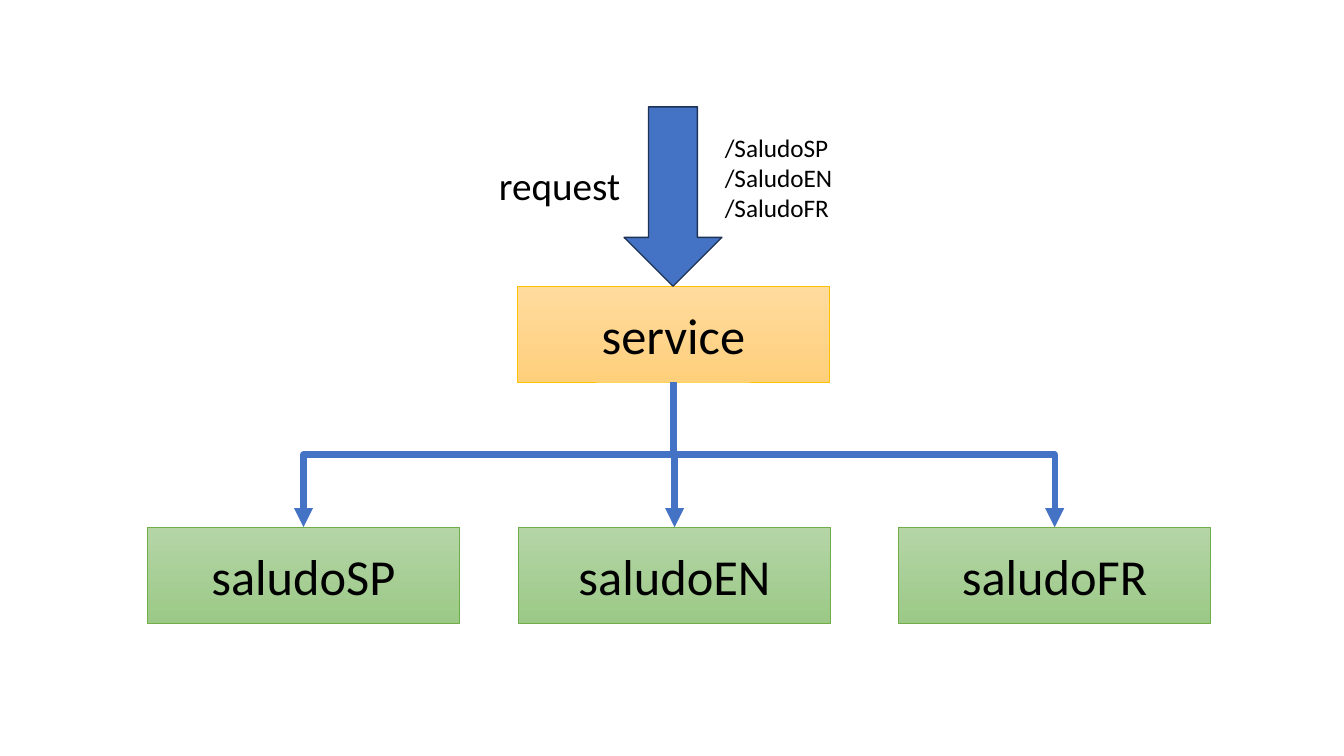
from lxml import etree
from pptx import Presentation
from pptx.dml.color import RGBColor
from pptx.enum.shapes import MSO_CONNECTOR, MSO_SHAPE
from pptx.enum.text import MSO_ANCHOR, MSO_AUTO_SIZE, PP_ALIGN
from pptx.oxml.ns import qn
from pptx.util import Inches, Pt

RECT, ARROW = MSO_SHAPE.RECTANGLE, MSO_SHAPE.DOWN_ARROW
ELBOW = MSO_CONNECTOR.ELBOW
MIDDLE, CENTER = MSO_ANCHOR.MIDDLE, PP_ALIGN.CENTER
FIT = MSO_AUTO_SIZE.SHAPE_TO_FIT_TEXT
TOP, BOTTOM = 0, 2  # connection sites of a rectangle

FONT = "Calibri"
BLUE, NAVY, BLACK = "4472C4", "1E3256", "000000"
GOLD = ("FFDB9E", "FFD07C", "FFC000")  # gradient start, end, outline
GREEN = ("B5D5A7", "9CC987", "70AD47")
BOX_W, BOX_H = 3.1, 0.95
SERVICE = ("service", 5.13, 2.84)
ROW_TOP = 5.23
TARGETS = [("saludoSP", 1.46), ("saludoEN", 5.14), ("saludoFR", 8.91)]
LABELS = [
    ("request", 28, False, (4.85, 1.55, 1.42, 0.57)),
    ("/SaludoSP\n/SaludoEN\n/SaludoFR", 18, True, (7.09, 1.26, 2.44, 1.01)),
]


def color(code):
    return RGBColor.from_string(code)


def write(frame, text, size):
    frame.text = text
    for para in frame.paragraphs:
        for run in para.runs:
            run.font.name = FONT
            run.font.size = Pt(size)
            run.font.color.rgb = color(BLACK)


def add_box(slide, text, left, top, tones):
    box = slide.shapes.add_shape(
        RECT, Inches(left), Inches(top), Inches(BOX_W), Inches(BOX_H))
    box.shadow.inherit = False
    box.fill.gradient()
    box.fill.gradient_angle = 270
    for stop, tone in zip(box.fill.gradient_stops, tones):
        stop.color.rgb = color(tone)
    box.line.color.rgb = color(tones[2])
    box.line.width = Pt(0.5)
    write(box.text_frame, text, 36)
    box.text_frame.vertical_anchor = MIDDLE
    box.text_frame.paragraphs[0].alignment = CENTER
    return box


def add_link(slide, source, target):
    """Join two boxes with an elbow arrow that leaves downwards."""
    x1, y1 = source.left + source.width // 2, source.top + source.height
    x2, y2 = target.left + target.width // 2, target.top
    link = slide.shapes.add_connector(ELBOW, x1, y1, x2, y2)
    link.begin_connect(source, BOTTOM)
    link.end_connect(target, TOP)

    # A quarter turn swaps the frame's sides around its centre.
    wide, high = y2 - y1, abs(x2 - x1)
    link.left, link.top = (x1 + x2 - wide) // 2, (y1 + y2 - high) // 2
    link.width, link.height = wide, high
    right = x2 > x1
    props = link._element.spPr
    frame = props.find(qn("a:xfrm"))
    frame.set("rot", str((270 if right else 90) * 60000))
    frame.set("flipH", "1" if right else "0")

    link.line.color.rgb = color(BLUE)
    link.line.width = Pt(4.5)
    line = props.find(qn("a:ln"))
    etree.SubElement(line, qn("a:tailEnd"), type="triangle")
    etree.SubElement(props, qn("a:effectLst"))


def add_arrow(slide):
    arrow = slide.shapes.add_shape(
        ARROW, Inches(6.19), Inches(1.06), Inches(0.97), Inches(1.78))
    arrow.shadow.inherit = False
    arrow.fill.solid()
    arrow.fill.fore_color.rgb = color(BLUE)
    arrow.line.color.rgb = color(NAVY)
    arrow.line.width = Pt(1)


def add_label(slide, text, size, wrap, place):
    frame = slide.shapes.add_textbox(*map(Inches, place)).text_frame
    frame.word_wrap = wrap
    frame.auto_size = FIT
    write(frame, text, size)


def main():
    deck = Presentation()
    deck.slide_width, deck.slide_height = Inches(13.33), Inches(7.5)
    slide = deck.slides.add_slide(deck.slide_layouts[6])
    service = add_box(slide, *SERVICE, GOLD)
    boxes = [add_box(slide, text, left, ROW_TOP, GREEN)
             for text, left in TARGETS]
    for box in boxes:
        add_link(slide, service, box)
    add_arrow(slide)
    for label in LABELS:
        add_label(slide, *label)
    deck.save("out.pptx")


if __name__ == "__main__":
    main()
